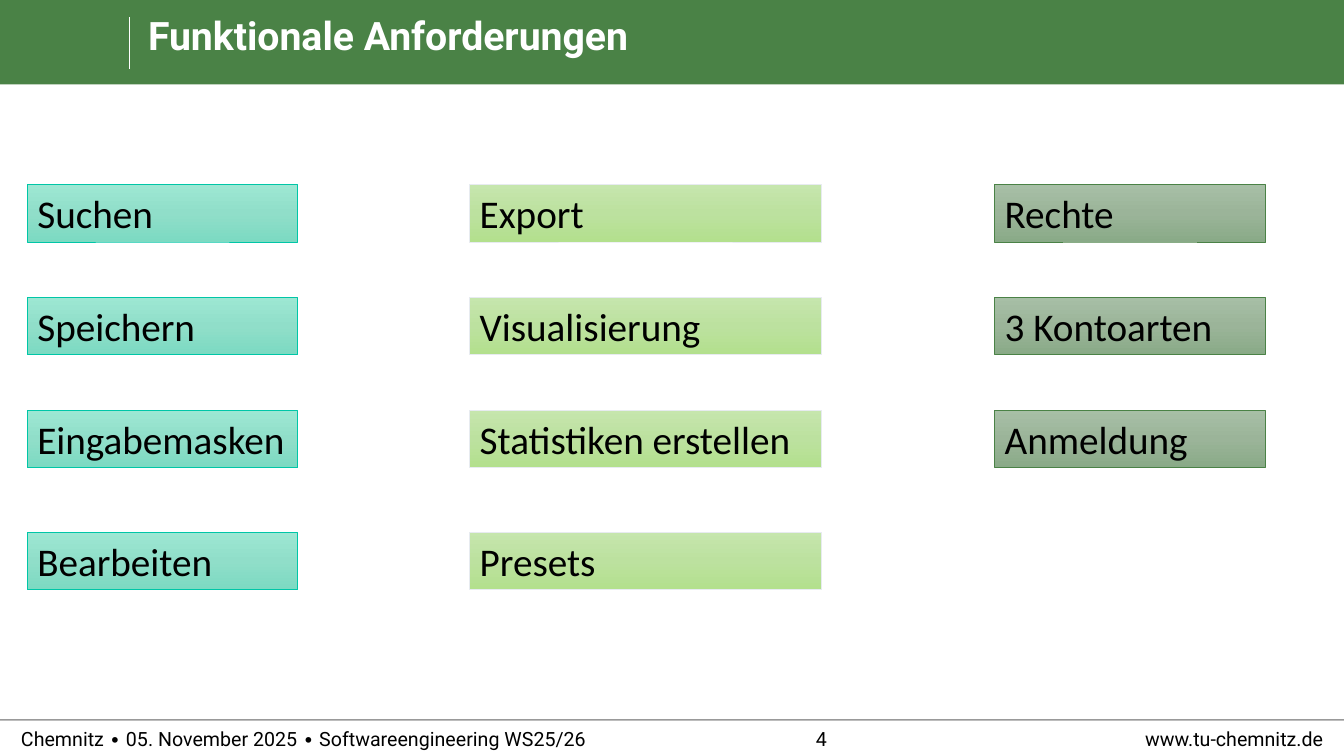
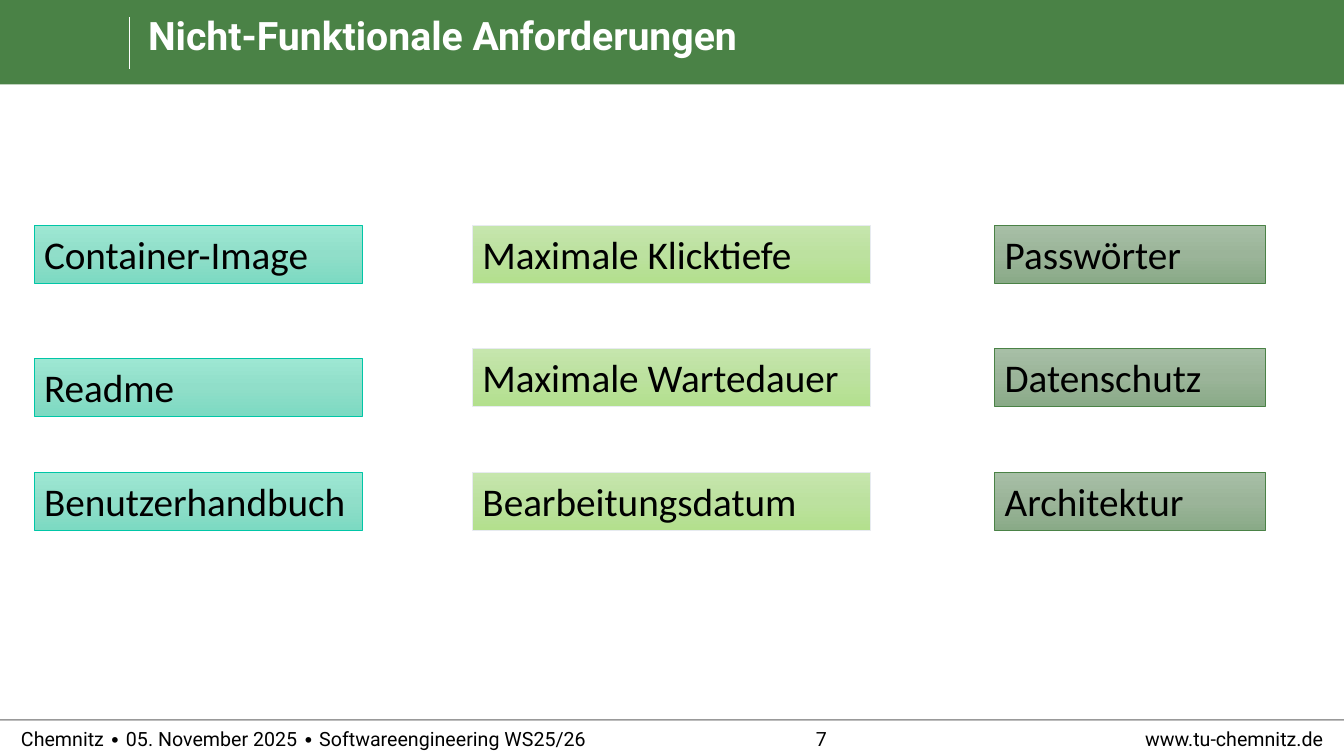
import copy

import pptx
import pptx.dml.color
import pptx.enum.shapes
import pptx.enum.text
import pptx.oxml.ns
import pptx.oxml.xmlchemy
import pptx.util

Cm, Pt = pptx.util.Cm, pptx.util.Pt
ALIGN = pptx.enum.text.PP_ALIGN
ANCHOR = pptx.enum.text.MSO_ANCHOR
RECT = pptx.enum.shapes.MSO_SHAPE.RECTANGLE
STRAIGHT = pptx.enum.shapes.MSO_CONNECTOR.STRAIGHT
qn = pptx.oxml.ns.qn
new_element = pptx.oxml.xmlchemy.OxmlElement

COLORS = {"band": "4A8246", "light": "FFFFFF", "text": "000000"}
# Gradient from top to bottom and outline of each column of boxes
COLUMN_STYLES = {
    "mint": {"stops": ("9DE7D3", "90DEC9", "7CDAC2"), "line": "00C6A7"},
    "lime": {"stops": ("C6E6AD", "BCE19F", "B3E08D"), "line": "E7EBF0"},
    "sage": {"stops": ("A7BFA6", "9BB499", "89AA87"), "line": "4A8246"},
}
SLIDE_W, SLIDE_H = 33.87, 19.05
BAND_H = 2.13
TITLE_BOX = (3.73, 0.43, 29.59, 1.3)
FOOTER_TOP, FOOTER_H = 18.14, 0.94
BOX_H = 1.45

FUNCTIONAL_TOPS = (4.65, 7.49, 10.34, 13.41)
QUALITY_TOPS = (5.69, 8.79, 11.91)
# Title, page number, columns; each column: style, left, width, tops, labels
SLIDES = [
    ("Funktionale Anforderungen", 4, [
        ("mint", 0.69, 6.81, FUNCTIONAL_TOPS,
         ["Suchen", "Speichern", "Eingabemasken", "Bearbeiten"]),
        ("lime", 11.84, 8.86, FUNCTIONAL_TOPS,
         ["Export", "Visualisierung", "Statistiken erstellen", "Presets"]),
        ("sage", 25.07, 6.81, FUNCTIONAL_TOPS,
         ["Rechte", "3 Kontoarten", "Anmeldung"]),
    ]),
    ("Nicht-Funktionale Anforderungen", 7, [
        ("mint", 0.86, 8.28, (5.69, 9.04, 11.91),
         ["Container-Image", "Readme", "Benutzerhandbuch"]),
        ("lime", 11.91, 10.03, QUALITY_TOPS,
         ["Maximale Klicktiefe", "Maximale Wartedauer", "Bearbeitungsdatum"]),
        ("sage", 25.07, 6.81, QUALITY_TOPS,
         ["Passwörter", "Datenschutz", "Architektur"]),
    ]),
]


def rgb(value):
    return pptx.dml.color.RGBColor.from_string(value)


def set_font(p, name, size, color, bold=False):
    p.font.name, p.font.size, p.font.bold = name, Pt(size), bold
    p.font.color.rgb = rgb(color)


def clear_margins(tf):
    tf.margin_left = tf.margin_top = tf.margin_right = tf.margin_bottom = 0


def add_rule(s, x1, y1, x2, y2, color, width, opacity=100):
    rule = s.shapes.add_connector(STRAIGHT, Cm(x1), Cm(y1), Cm(x2), Cm(y2))
    rule.line.color.rgb = rgb(color)
    rule.line.width = Pt(width)
    sp_pr = rule.element.spPr
    sp_pr.append(new_element("a:effectLst"))
    if opacity < 100:
        alpha = new_element("a:alpha")
        alpha.set("val", str(opacity * 1000))
        sp_pr.find(".//" + qn("a:srgbClr")).append(alpha)
    return rule


def add_footer_text(s, left, width, text, align):
    box = s.shapes.add_textbox(Cm(left), Cm(FOOTER_TOP), Cm(width), Cm(FOOTER_H))
    tf = box.text_frame
    tf.word_wrap = True
    tf.vertical_anchor = ANCHOR.MIDDLE
    clear_margins(tf)
    p = tf.paragraphs[0]
    p.text, p.alignment = text, align
    set_font(p, "Roboto", 14, COLORS["text"])
    return box


def add_frame(s):
    """Draw band, rules and fixed footer texts, then move them to the layout."""
    band = s.shapes.add_shape(RECT, 0, 0, Cm(SLIDE_W), Cm(BAND_H))
    band.shadow.inherit = False
    band.fill.solid()
    band.fill.fore_color.rgb = rgb(COLORS["band"])
    band.line.fill.background()
    frame = [
        band,
        add_rule(s, 3.25, 0.43, 3.25, 1.73, COLORS["light"], 0.5),
        add_rule(s, 0, FOOTER_TOP, SLIDE_W, FOOTER_TOP, COLORS["text"], 1, 40),
        add_footer_text(s, 22.94, 10.41, "www.tu-chemnitz.de", ALIGN.RIGHT),
        add_footer_text(
            s, 0.53, 16, "Chemnitz ∙ 05. November 2025 ∙ Softwareengineering WS25/26",
            ALIGN.LEFT),
    ]
    tree = s.slide_layout.placeholders[0].element.getparent()
    for i, shape in enumerate(frame):
        shape.element.find(".//" + qn("p:cNvPr")).set("id", str(100 + i))
        tree.insert(2 + i, shape.element)


def set_title(s, text):
    title = s.shapes.title
    title.left, title.top, title.width, title.height = map(Cm, TITLE_BOX)
    tf = title.text_frame
    tf.auto_size = pptx.enum.text.MSO_AUTO_SIZE.NONE
    tf.vertical_anchor = ANCHOR.TOP
    clear_margins(tf)
    p = tf.paragraphs[0]
    p.text, p.alignment, p.line_spacing = text, ALIGN.LEFT, 0.9
    set_font(p, "Roboto", 28, COLORS["light"], bold=True)


def fill_gradient(shape, colors):
    shape.fill.gradient()
    shape.fill.gradient_angle = 270
    stop_list = shape.element.spPr.find(".//" + qn("a:gsLst"))
    stop_list.insert(1, copy.deepcopy(stop_list[0]))
    for i, (stop, color) in enumerate(zip(shape.fill.gradient_stops, colors)):
        stop.position = i / 2
        stop.color.rgb = rgb(color)


def add_column(s, style, left, width, tops, labels):
    """Add one group of equally wide boxes below each other."""
    column = s.shapes.add_group_shape()
    for top, label in zip(tops, labels):
        box = column.shapes.add_shape(RECT, Cm(left), Cm(top), Cm(width), Cm(BOX_H))
        box.shadow.inherit = False
        fill_gradient(box, COLUMN_STYLES[style]["stops"])
        box.line.color.rgb = rgb(COLUMN_STYLES[style]["line"])
        box.line.width = Pt(0.5)
        tf = box.text_frame
        tf.word_wrap = True
        tf.vertical_anchor = ANCHOR.TOP
        p = tf.paragraphs[0]
        p.text, p.alignment = label, ALIGN.LEFT
        set_font(p, "Calibri", 28, COLORS["text"])


def add_requirements_slide(prs, layout, title, number, columns):
    s = prs.slides.add_slide(layout)
    set_title(s, title)
    add_footer_text(s, 12.93, 15.54, str(number), ALIGN.CENTER)
    for column in columns:
        add_column(s, *column)
    return s


def main():
    prs = pptx.Presentation()
    prs.slide_width, prs.slide_height = Cm(SLIDE_W), Cm(SLIDE_H)
    layout = prs.slide_layouts.get_by_name("Title Only")
    slides = [add_requirements_slide(prs, layout, *content) for content in SLIDES]
    add_frame(slides[0])
    prs.save("out.pptx")


if __name__ == "__main__":
    main()
